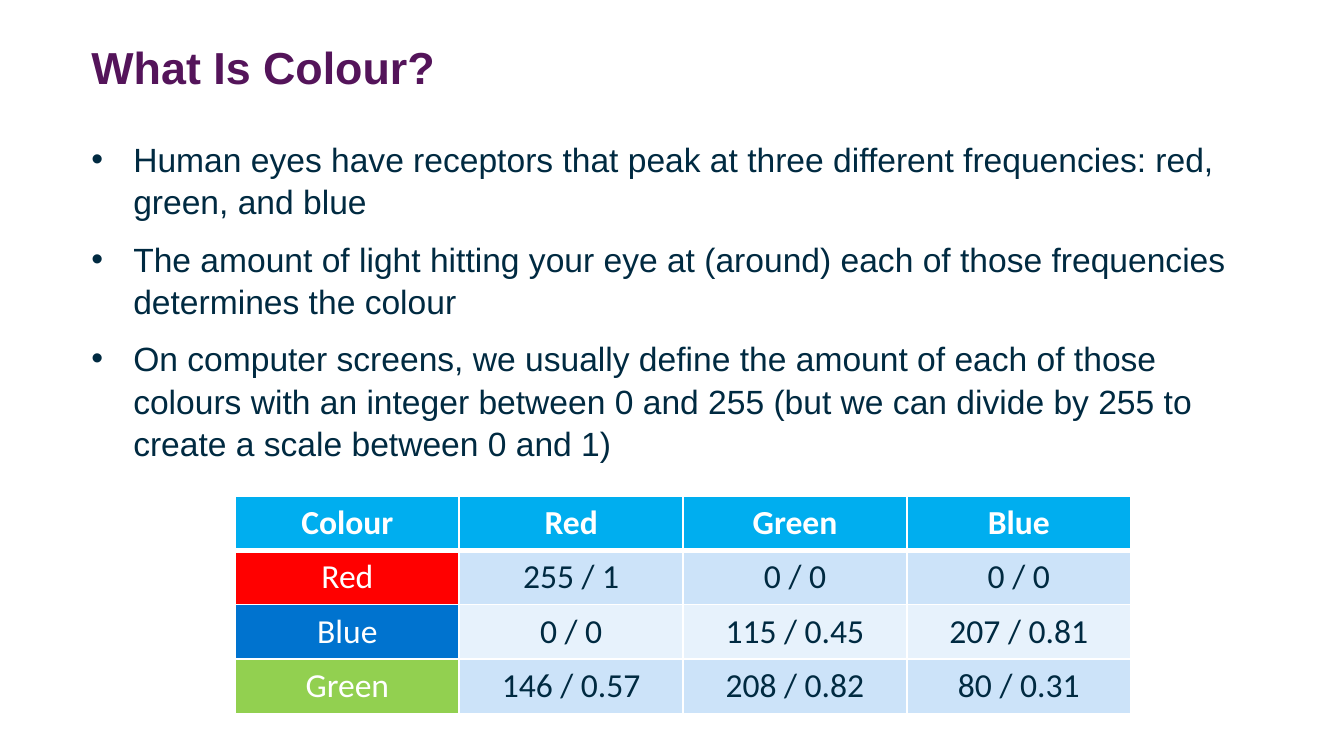
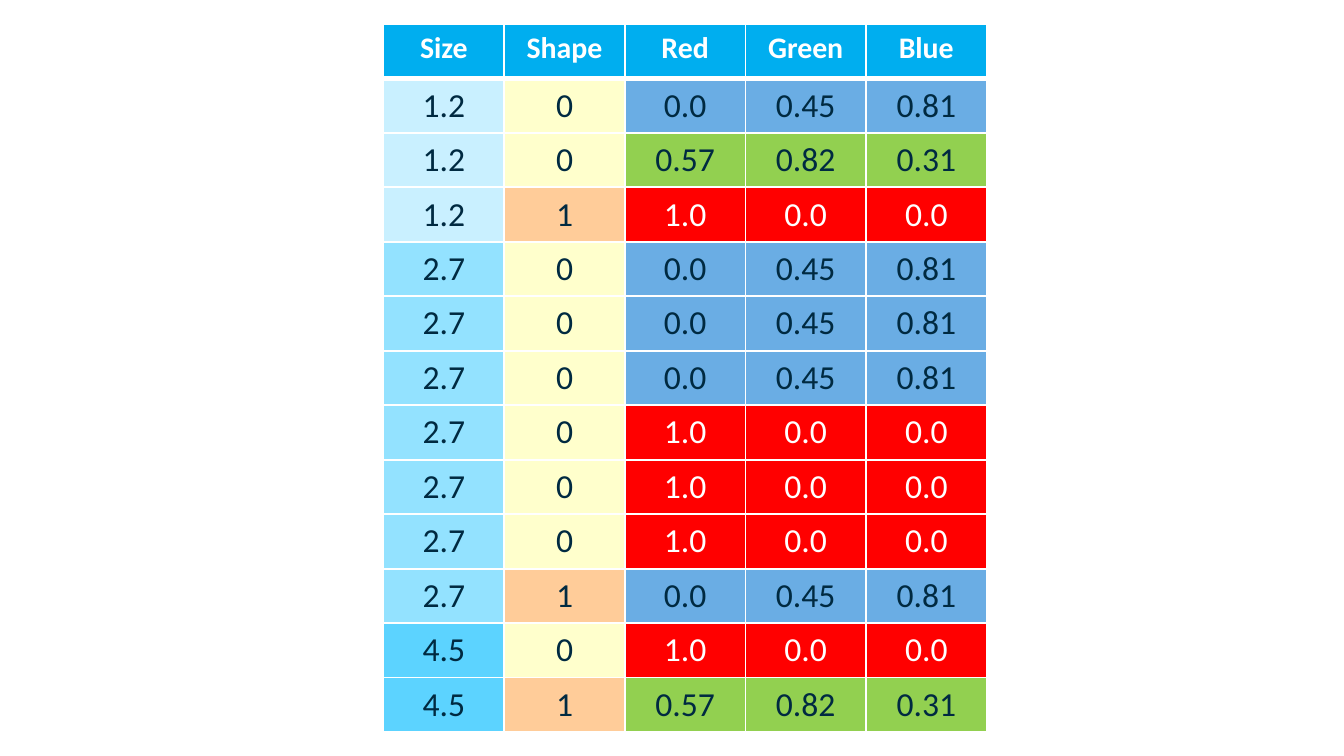
from lxml import etree
from pptx import Presentation
from pptx.dml.color import RGBColor
from pptx.enum.text import PP_ALIGN
from pptx.oxml.ns import qn
from pptx.util import Cm, Pt

CENTER = PP_ALIGN.CENTER

# Shared look
WHITE, INK, PLUM, HEAD = "FFFFFF", "002A41", "54145A", "00AEEF"
RED, GREEN, BLUE, SKY = "FF0000", "92D050", "0073CF", "6AADE4"
BANDS = "CCE3F9", "E7F2FC"
TITLE = {"name": "Arial", "size": Pt(24), "bold": True}
BODY = {"name": "Arial", "size": Pt(18)}
CELL = {"name": "Calibri", "size": Pt(18), "bold": False}
LEFT, WIDE, ROW = 1.73, 21.95, 1.03

# Content of slide 1
HEADING = "What Is Colour?"
POINTS = [
    "Human eyes have receptors that peak at three different frequencies: red, green, and blue",
    "The amount of light hitting your eye at (around) each of those frequencies determines the colour",
    "On computer screens, we usually define the amount of each of those colours with an integer "
    "between 0 and 255 (but we can divide by 255 to create a scale between 0 and 1)",
]
MIX_HEAD = ["Colour", "Red", "Green", "Blue"]
MIXES = [
    ("Red", RED, ["255 / 1", "0 / 0", "0 / 0"]),
    ("Blue", BLUE, ["0 / 0", "115 / 0.45", "207 / 0.81"]),
    ("Green", GREEN, ["146 / 0.57", "208 / 0.82", "80 / 0.31"]),
]

# Content of slide 2: size, shape and colour of each item
ITEM_HEAD = ["Size", "Shape", "Red", "Green", "Blue"]
ITEMS = [
    ("1.2", "0", "blue"), ("1.2", "0", "green"), ("1.2", "1", "red"),
    ("2.7", "0", "blue"), ("2.7", "0", "blue"), ("2.7", "0", "blue"),
    ("2.7", "0", "red"), ("2.7", "0", "red"), ("2.7", "0", "red"),
    ("2.7", "1", "blue"), ("4.5", "0", "red"), ("4.5", "1", "green"),
]
SIZES = {"1.2": "C9F0FF", "2.7": "93E2FF", "4.5": "5CD3FF"}
SHAPES = {"0": "FFFFCC", "1": "FFCC99"}
HUES = {
    "red": (RED, WHITE, ["1.0", "0.0", "0.0"]),
    "green": (GREEN, INK, ["0.57", "0.82", "0.31"]),
    "blue": (SKY, INK, ["0.0", "0.45", "0.81"]),
}


def rgb(code):
    return RGBColor.from_string(code)


def style(font, look, ink):
    for key, value in look.items():
        setattr(font, key, value)
    font.color.rgb = rgb(ink)


def add_text(slide, top, high, lines, look, ink, bullet=False):
    box = slide.shapes.add_textbox(Cm(LEFT), Cm(top), Cm(WIDE), Cm(high))
    frame = box.text_frame
    frame.word_wrap = True
    for side in ("left", "top", "right", "bottom"):
        setattr(frame, "margin_" + side, 0)
    for i, line in enumerate(lines):
        para = frame.paragraphs[0] if i == 0 else frame.add_paragraph()
        if bullet:
            props = para._p.get_or_add_pPr()
            props.set("marL", str(Cm(0.79)))
            props.set("indent", str(Cm(-0.79)))
            etree.SubElement(props, qn("a:buFont"), typeface="Arial")
            etree.SubElement(props, qn("a:buChar"), char="•")
            para.line_spacing = 1.05
            para.space_before = Pt(8 if i else 0)
        run = para.add_run()
        run.text = line
        style(run.font, look, ink)


def add_edges(cell, row):
    props = cell._tc.get_or_add_tcPr()
    thick = {"T": row == 1, "B": row == 0}
    for side in "LRTB":
        width = Pt(3 if thick.get(side) else 1)
        line = etree.SubElement(props, qn("a:ln" + side), w=str(width))
        fill = etree.SubElement(line, qn("a:solidFill"))
        etree.SubElement(fill, qn("a:srgbClr"), val=WHITE)


def add_grid(slide, left, top, col, head, rows, size):
    """Each cell in rows is a (text, fill, ink) tuple."""
    rows = [[(name, HEAD, WHITE) for name in head]] + rows
    table = slide.shapes.add_table(
        len(rows), len(head), Cm(left), Cm(top),
        Cm(col * len(head)), Cm(ROW * len(rows))).table
    for column in table.columns:
        column.width = Cm(col)
    for r, row in enumerate(rows):
        table.rows[r].height = Cm(ROW)
        look = CELL if r else {**CELL, "size": Pt(size), "bold": True}
        for c, (text, fill, ink) in enumerate(row):
            cell = table.cell(r, c)
            add_edges(cell, r)
            cell.fill.solid()
            cell.fill.fore_color.rgb = rgb(fill)
            para = cell.text_frame.paragraphs[0]
            para.alignment = CENTER
            run = para.add_run()
            run.text = text
            style(run.font, look, ink)


def mix_rows():
    return [[(name, fill, WHITE)] + [(text, BANDS[i % 2], INK) for text in values]
            for i, (name, fill, values) in enumerate(MIXES)]


def item_rows():
    rows = []
    for size, shape, hue in ITEMS:
        fill, ink, values = HUES[hue]
        rows.append([(size, SIZES[size], INK), (shape, SHAPES[shape], INK)]
                    + [(text, fill, ink) for text in values])
    return rows


def main():
    deck = Presentation()
    deck.slide_width, deck.slide_height = Cm(25.4), Cm(14.29)
    blank = deck.slide_layouts[6]

    # Slide 1: what colour is
    slide = deck.slides.add_slide(blank)
    add_text(slide, 0.76, 2.39, [HEADING], TITLE, PLUM)
    add_text(slide, 2.59, 7.95, POINTS, BODY, INK, bullet=True)
    add_grid(slide, 4.45, 9.37, 4.23, MIX_HEAD, mix_rows(), 18)

    # Slide 2: items as numbers
    slide = deck.slides.add_slide(blank)
    add_grid(slide, 7.25, 0.45, 2.28, ITEM_HEAD, item_rows(), 16)

    deck.save("out.pptx")


if __name__ == "__main__":
    main()
